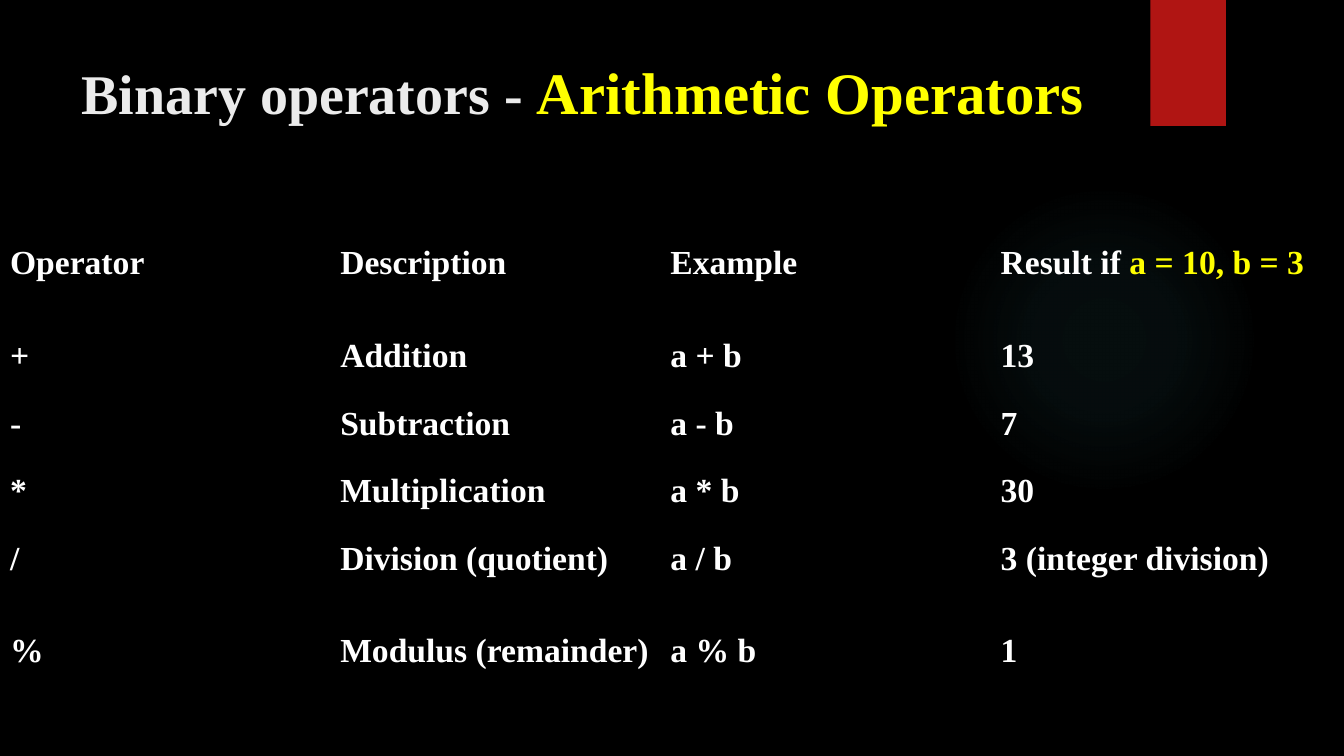
from dataclasses import dataclass

from lxml.etree import SubElement
from pptx import Presentation
from pptx.dml.color import RGBColor
from pptx.enum.shapes import MSO_SHAPE
from pptx.enum.text import MSO_ANCHOR
from pptx.oxml.ns import qn
from pptx.shapes.autoshape import Shape
from pptx.slide import Slide
from pptx.text.text import TextFrame
from pptx.util import Inches, Pt

COLORS = {
    "background": "000000",
    "glow": "50B9C1",
    "ribbon": "B01513",
    "title": "EBEBEB",
    "highlight": "FFFF00",
    "body": "FFFFFF",
}
FONT = "Times New Roman"
PLAIN_TABLE_STYLE = "{2D5ABB26-0587-4C30-8999-92F81FD0307C}"
GLOW_STOPS = ((0, 7), (36, 6), (69, 0))
TABLE_WIDTH = 13.1
TALL_ROW, SHORT_ROW = 1.17, 0.67


@dataclass(frozen=True)
class Span:
    text: str
    size: int = 24
    color: str = "body"


@dataclass(frozen=True)
class Operator:
    symbol: str
    description: str
    result: str

    def cells(self) -> list[list[Span]]:
        texts = (self.symbol, self.description, f"a {self.symbol} b", self.result)
        return [[Span(text)] for text in texts]


TITLE = [Span("Binary operators - ", 40, "title"), Span("Arithmetic Operators", 42, "highlight")]
HEADER = [
    [Span("Operator")],
    [Span("Description")],
    [Span("Example")],
    [Span("Result if "), Span("a = 10, b = 3", color="highlight")],
]
OPERATORS = [
    Operator("+", "Addition", "13"),
    Operator("-", "Subtraction", "7"),
    Operator("*", "Multiplication", "30"),
    Operator("/", "Division (quotient)", "3 (integer division)"),
    Operator("%", "Modulus (remainder)", "1"),
]


def color(name: str) -> RGBColor:
    return RGBColor.from_string(COLORS[name])


def write(text_frame: TextFrame, spans: list[Span]) -> None:
    text_frame.word_wrap = True
    for span in spans:
        run = text_frame.paragraphs[0].add_run()
        run.text = span.text
        run.font.name = FONT
        run.font.size = Pt(span.size)
        run.font.bold = True
        run.font.color.rgb = color(span.color)


def add_decoration(slide: Slide, kind: MSO_SHAPE, left: float, top: float,
                   width: float, height: float, fill: str) -> Shape:
    shape = slide.shapes.add_shape(kind, Inches(left), Inches(top), Inches(width), Inches(height))
    shape.shadow.inherit = False
    shape.fill.solid()
    shape.fill.fore_color.rgb = color(fill)
    shape.line.fill.background()
    return shape


def apply_glow(shape: Shape) -> None:
    shape.fill.gradient()
    gradient = shape._element.spPr.find(qn("a:gradFill"))
    for child in list(gradient):
        gradient.remove(child)
    stops = SubElement(gradient, qn("a:gsLst"))
    for position, opacity in GLOW_STOPS:
        stop = SubElement(stops, qn("a:gs"), pos=str(position * 1000))
        stop_color = SubElement(stop, qn("a:srgbClr"), val=COLORS["glow"])
        SubElement(stop_color, qn("a:alpha"), val=str(opacity * 1000))
    circle = SubElement(gradient, qn("a:path"), path="circle")
    SubElement(circle, qn("a:fillToRect"), l="50000", t="50000", r="50000", b="50000")


def add_title(slide: Slide) -> None:
    title = slide.shapes.add_textbox(Inches(0.71), Inches(0.5), Inches(10.29), Inches(1.53))
    write(title.text_frame, TITLE)


def add_operator_table(slide: Slide) -> None:
    rows = [HEADER] + [operator.cells() for operator in OPERATORS]
    heights = [TALL_ROW] + [SHORT_ROW] * (len(rows) - 2) + [TALL_ROW]
    frame = slide.shapes.add_table(len(rows), len(HEADER), Inches(0), Inches(2.03),
                                   Inches(TABLE_WIDTH), Inches(sum(heights)))
    table = frame.table
    table.first_row = False
    table.horz_banding = False
    table._tbl.tblPr.find(qn("a:tableStyleId")).text = PLAIN_TABLE_STYLE
    for column in table.columns:
        column.width = Inches(TABLE_WIDTH / len(HEADER))
    for row, height, contents in zip(table.rows, heights, rows):
        row.height = Inches(height)
        for cell, spans in zip(row.cells, contents):
            cell.fill.background()
            cell.vertical_anchor = MSO_ANCHOR.MIDDLE
            write(cell.text_frame, spans)


def main() -> None:
    """Build the arithmetic operators slide."""
    presentation = Presentation()
    presentation.slide_width = Inches(13.33)
    presentation.slide_height = Inches(7.5)
    slide = presentation.slides.add_slide(presentation.slide_layouts[6])
    slide.background.fill.solid()
    slide.background.fill.fore_color.rgb = color("background")
    apply_glow(add_decoration(slide, MSO_SHAPE.OVAL, 9.41, 1.83, 3.08, 3.08, "glow"))
    add_decoration(slide, MSO_SHAPE.RECTANGLE, 11.41, 0, 0.75, 1.25, "ribbon")
    add_title(slide)
    add_operator_table(slide)
    presentation.save("out.pptx")


if __name__ == "__main__":
    main()
